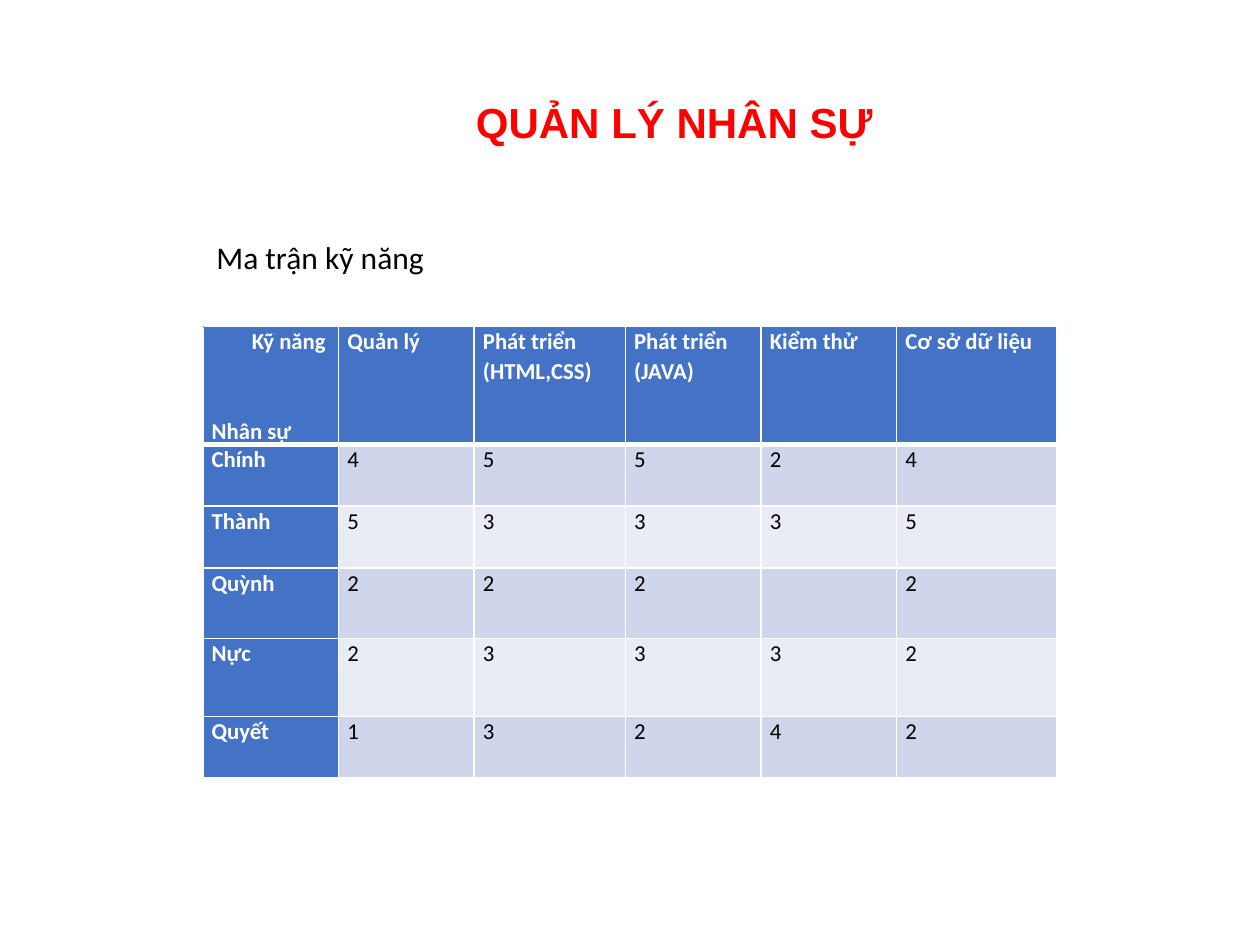
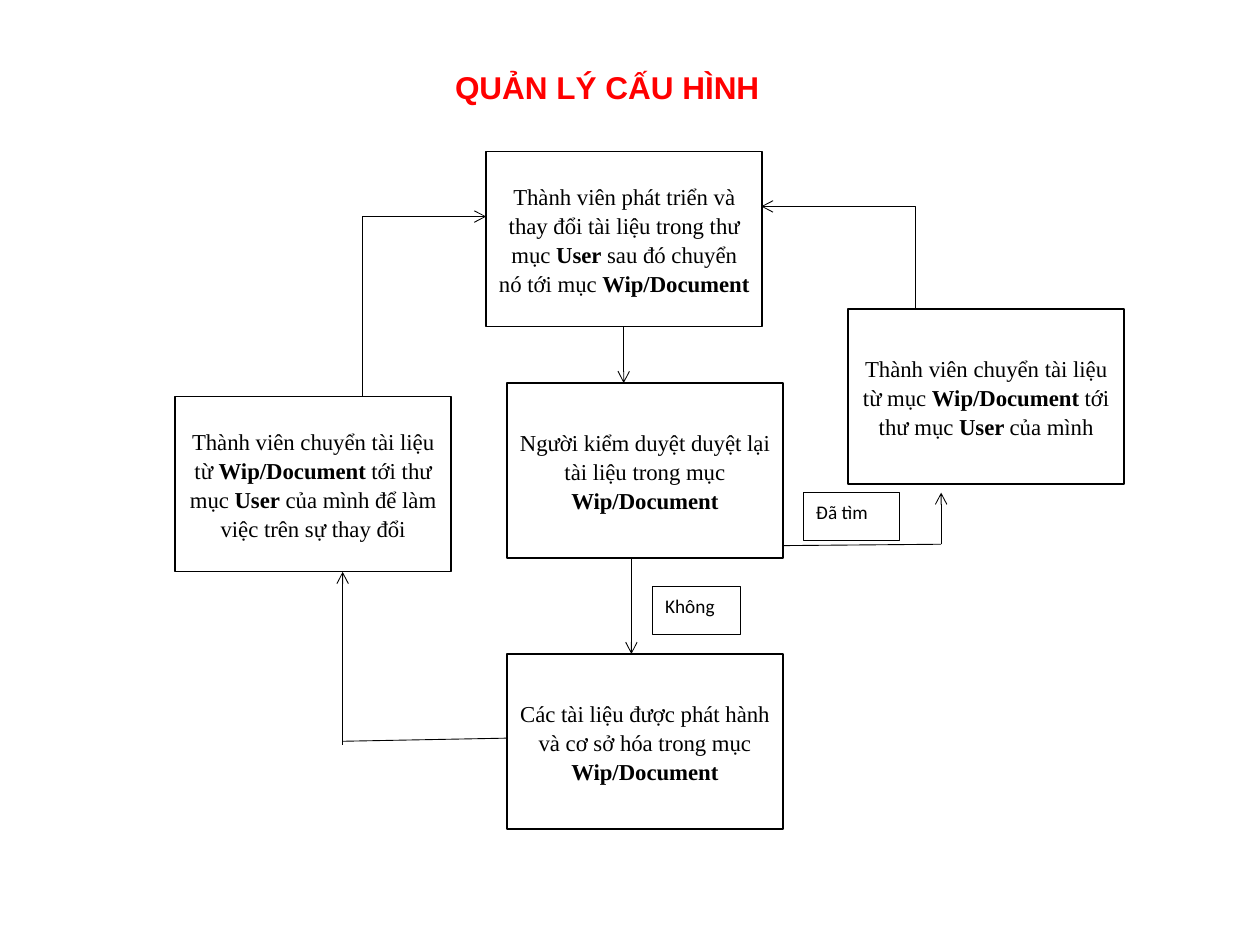
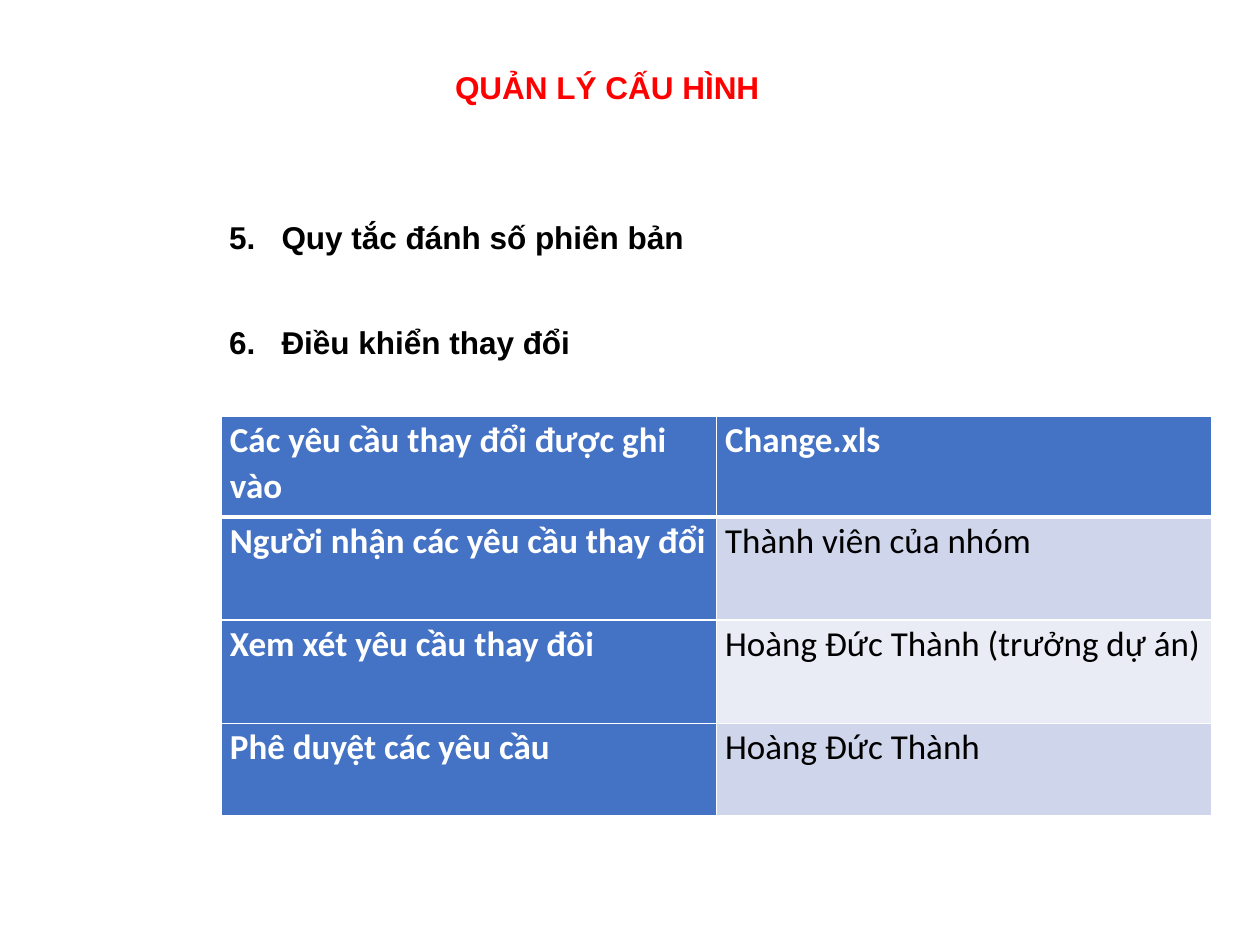
import pptx
import pptx.util
import pptx.dml.color
import pptx.enum.shapes
import pptx.enum.text
import pptx.oxml.xmlchemy

Pt = pptx.util.Pt
make = pptx.oxml.xmlchemy.OxmlElement
ANCHOR = pptx.enum.text.MSO_ANCHOR
ALIGN = pptx.enum.text.PP_ALIGN
LINK = pptx.enum.shapes.MSO_CONNECTOR
RECT = pptx.enum.shapes.MSO_SHAPE.RECTANGLE

HUES = {"title": "FF0000", "ink": "000000", "paper": "FFFFFF",
        "head": "4472C4", "odd": "CFD5EA", "even": "E9EBF5"}


def hue(name):
    return pptx.dml.color.RGBColor.from_string(HUES[name])


def write(frame, text, size=18, font="Calibri", color="ink", bold=False,
          align=None, space=None, after=None, left=0, hang=0):
    """Fill a frame: newlines part paragraphs, asterisks switch bold."""
    for i, line in enumerate(text.split("\n")):
        para = frame.paragraphs[0] if i == 0 else frame.add_paragraph()
        para.alignment = align
        if space:
            para.line_spacing = space
        if after:
            para.space_after = Pt(after)
        if left:
            props = para._p.get_or_add_pPr()
            props.set("marL", str(Pt(left)))
            props.set("indent", str(Pt(-hang)))
        for j, part in enumerate(line.split("*")):
            if part:
                run = para.add_run()
                run.text = part
                run.font.name = font
                run.font.size = Pt(size)
                run.font.bold = bold or j % 2 == 1
                run.font.color.rgb = hue(color)


class Deck:
    def __init__(self):
        self.file = pptx.Presentation()
        self.file.slide_width, self.file.slide_height = Pt(720), Pt(540)
        self.slide = None

    def page(self):
        self.slide = self.file.slides.add_slide(self.file.slide_layouts[6])

    def label(self, text, x, y, w, h, wrap=False, anchor=ANCHOR.TOP, **form):
        box = self.slide.shapes.add_textbox(Pt(x), Pt(y), Pt(w), Pt(h))
        box.text_frame.word_wrap = wrap
        box.text_frame.vertical_anchor = anchor
        write(box.text_frame, text, **form)

    def title(self, text, x=252, y=35.3, w=190, h=29, **form):
        self.label(text, x, y, w, h, font="Arial", color="title", bold=True,
                   align=ALIGN.CENTER, **form)

    def box(self, text, x, y, w, h, line=1, anchor=ANCHOR.MIDDLE, **form):
        rect = self.slide.shapes.add_shape(RECT, Pt(x), Pt(y), Pt(w), Pt(h))
        rect.shadow.inherit = False
        rect.fill.solid()
        rect.fill.fore_color.rgb = hue("paper")
        rect.line.color.rgb = hue("ink")
        rect.line.width = Pt(line)
        rect.text_frame.word_wrap = True
        rect.text_frame.vertical_anchor = anchor
        write(rect.text_frame, text, space=1.07, after=8, **form)

    def step(self, text, x, y):
        self.box(text, x, y, 157.7, 100, size=13, font="Times New Roman",
                 align=ALIGN.CENTER)

    def note(self, text, x, y, w):
        self.box(text, x, y, w, 27.5, line=0.5, anchor=ANCHOR.TOP, size=11,
                 align=ALIGN.LEFT)

    def link(self, x1, y1, x2, y2, kind=LINK.STRAIGHT, arrow=True, color="ink"):
        line = self.slide.shapes.add_connector(kind, Pt(x1), Pt(y1), Pt(x2), Pt(y2))
        line.line.color.rgb = hue(color)
        line.line.width = Pt(0.5)
        if arrow:
            tail = make("a:tailEnd")
            tail.set("type", "arrow")
            line.line._get_or_add_ln().append(tail)
        line._element.spPr.append(make("a:effectLst"))

    def edge(self, cell, row):
        """White borders, with a thick rule below the head row."""
        props = cell._tc.get_or_add_tcPr()
        wide = {"T": 3 if row == 1 else 1, "B": 3 if row == 0 else 1}
        for i, side in enumerate("LRTB"):
            line = make("a:ln" + side)
            line.set("w", str(Pt(wide.get(side, 1))))
            fill = make("a:solidFill")
            tone = make("a:srgbClr")
            tone.set("val", HUES["paper"])
            fill.append(tone)
            line.append(fill)
            props.insert(i, line)

    def table(self, rows, x, y, cols, highs, size):
        frame = self.slide.shapes.add_table(
            len(rows), len(cols), Pt(x), Pt(y), Pt(sum(cols)), Pt(sum(highs)))
        grid = frame.table
        for col, wide in zip(grid.columns, cols):
            col.width = Pt(wide)
        for row, high in zip(grid.rows, highs):
            row.height = Pt(high)
        for r, row in enumerate(rows):
            for c, text in enumerate(row):
                cell = grid.cell(r, c)
                head = r == 0 or c == 0
                cell.margin_left = cell.margin_right = Pt(5)
                cell.margin_top = cell.margin_bottom = Pt(0)
                cell.fill.solid()
                cell.fill.fore_color.rgb = hue(
                    "head" if head else "odd" if r % 2 else "even")
                self.edge(cell, r)
                write(cell.text_frame, text, size=size, space=1.07, bold=head,
                      color="paper" if head else "ink")
        return grid


deck = Deck()

# Slide 1: skill matrix
deck.page()
deck.title("QUẢN LÝ NHÂN SỰ", 124.6, 29.5, 521.3, 83.5, size=24, wrap=True,
           anchor=ANCHOR.MIDDLE, space=0.9)
deck.label("Ma trận kỹ năng", 116.6, 132.5, 134.6, 29)
skills = [
    ["Kỹ năng\nNhân sự", "Quản lý", "Phát triển\n(HTML,CSS)",
     "Phát triển\n(JAVA)", "Kiểm thử", "Cơ sở dữ liệu"],
    ["Chính", "4", "5", "5", "2", "4"],
    ["Thành", "5", "3", "3", "3", "5"],
    ["Quỳnh", "2", "2", "2", "", "2"],
    ["Nực", "2", "3", "3", "3", "2"],
    ["Quyết", "1", "3", "2", "4", "2"],
]
grid = deck.table(skills, 116, 186.5, [77.5, 77.5, 86.4, 77.5, 77.5, 91.4],
                  [62.6, 35.3, 35.3, 40.3, 44.6, 35.3], 13)
# Corner cell: column heading at the right, row heading at the foot
top, foot = grid.cell(0, 0).text_frame.paragraphs
top.alignment = ALIGN.RIGHT
top._p.get_or_add_pPr().set("marR", str(Pt(2.5)))
foot.space_before = Pt(34)
deck.link(116, 186.5, 190, 245.5, arrow=False, color="head")

# Slide 2: change flow
deck.page()
deck.note("Không", 373, 335.3, 50.4)
deck.step("Thành viên phát triển và thay đổi tài liệu trong thư mục *User* "
          "sau đó chuyển nó tới mục *Wip/Document*", 277.8, 86.6)
deck.step("Người kiểm duyệt duyệt lại tài liệu trong mục *Wip/Document*",
          289.6, 218.9)
deck.step("Thành viên chuyển tài liệu từ *Wip/Document* tới thư mục *User* "
          "của mình để làm việc trên sự thay đổi", 100, 226.6)
deck.step("Các tài liệu được phát hành và cơ sở hóa trong mục *Wip/Document*",
          289.6, 373.7)
deck.step("Thành viên chuyển tài liệu từ mục *Wip/Document *tới thư mục "
          "*User *của mình", 484.6, 176.6)
deck.note("Đã tìm", 459.2, 281.5, 54.7)
# Links down the middle
deck.link(356.4, 186.5, 356.4, 218.9)
deck.link(360.8, 319, 360.8, 373.7)
# Links back up on both sides
deck.link(289.6, 421.8, 195.8, 423.6, arrow=False)
deck.link(195.8, 425.5, 195.8, 326.8)
deck.link(447.2, 311.8, 537.8, 311, arrow=False)
deck.link(537.8, 311, 537.8, 281.5)
deck.link(136, 226.8, 277.8, 123.8, LINK.ELBOW)
deck.link(611.3, 176.4, 435, 118, LINK.ELBOW)
deck.title("QUẢN LÝ CẤU HÌNH")

# Slide 3: change control
deck.page()
deck.title("QUẢN LÝ CẤU HÌNH")
for text, y in [("5.\tQuy tắc đánh số phiên bản", 110.2),
                ("6.\tĐiều khiển thay đổi", 170)]:
    deck.label(text, 87.8, y, 313.2, 36, wrap=True, font="Arial", bold=True,
               space=1.5, left=66, hang=30)
rules = [
    ["Các yêu cầu thay đổi được ghi vào", "Change.xls"],
    ["Người nhận các yêu cầu thay đổi", "Thành viên của nhóm"],
    ["Xem xét yêu cầu thay đôi", "Hoàng Đức Thành (trưởng dự án)"],
    ["Phê duyệt các yêu cầu", "Hoàng Đức Thành"],
]
deck.table(rules, 126.4, 237.8, [283, 283], [57.6, 59, 59, 52.6], 20)

deck.file.save("out.pptx")
